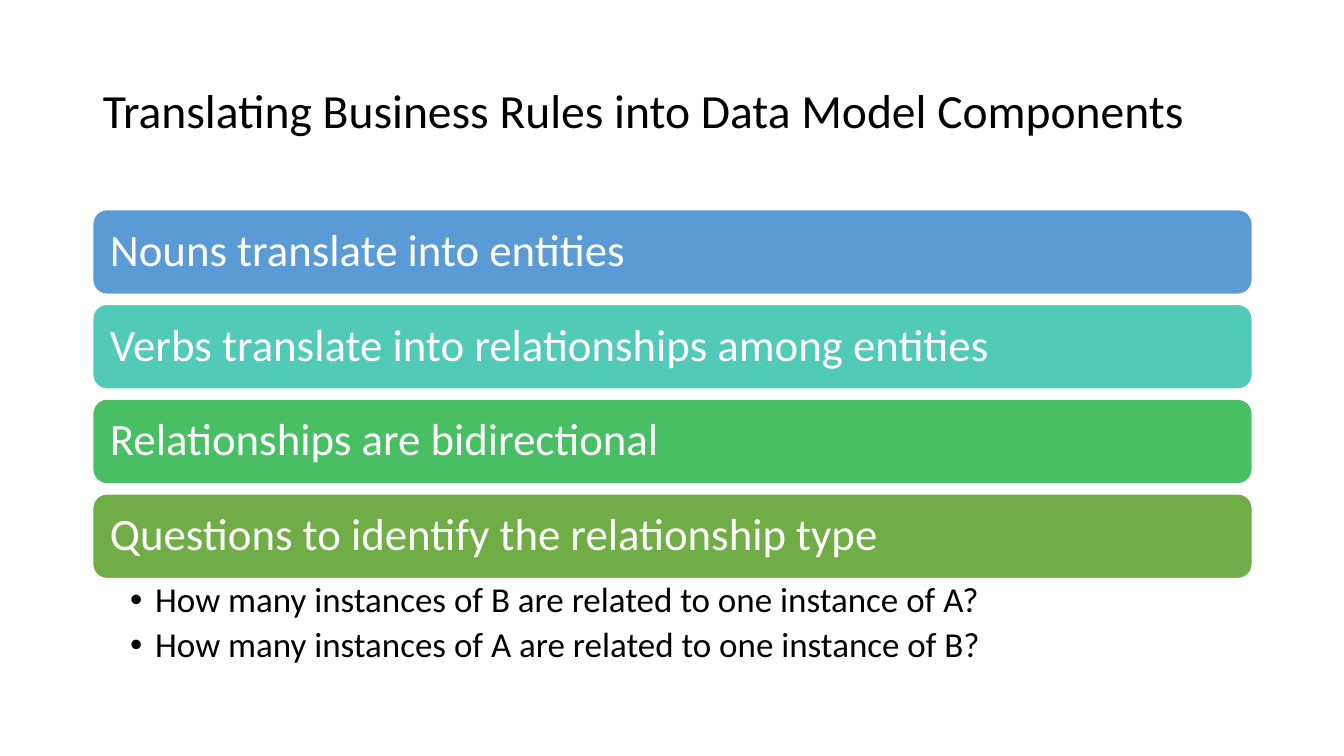
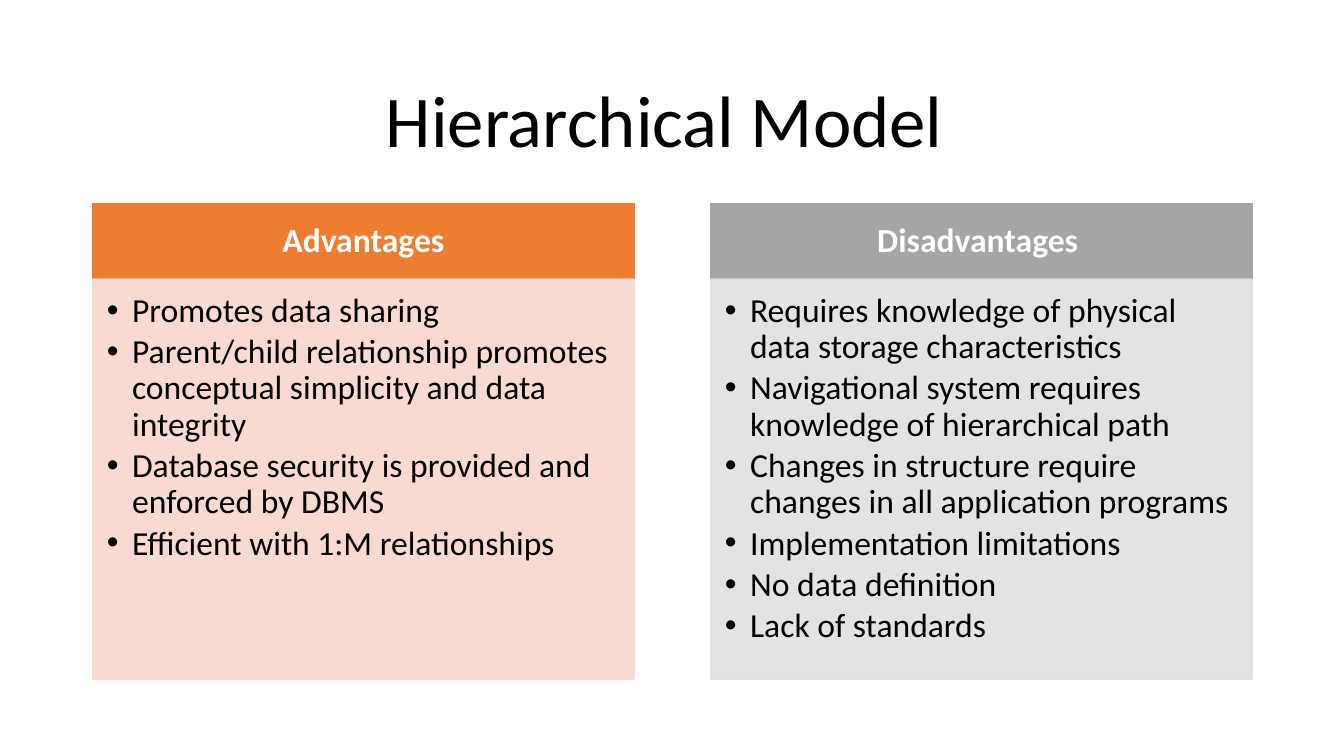
from lxml import etree
from pptx import Presentation
from pptx.dml.color import RGBColor
from pptx.enum.shapes import MSO_SHAPE
from pptx.enum.text import MSO_ANCHOR, MSO_AUTO_SIZE, PP_ALIGN
from pptx.oxml.ns import qn
from pptx.util import Inches, Pt

RECT, ROUND = MSO_SHAPE.RECTANGLE, MSO_SHAPE.ROUNDED_RECTANGLE
TOP, MIDDLE = MSO_ANCHOR.TOP, MSO_ANCHOR.MIDDLE
LEFT, CENTER = PP_ALIGN.LEFT, PP_ALIGN.CENTER

# Shared style
FONT = "Calibri"
BLACK = RGBColor(0x00, 0x00, 0x00)
WHITE = RGBColor(0xFF, 0xFF, 0xFF)
BLUE = RGBColor(0x5B, 0x9B, 0xD5)
TEAL = RGBColor(0x52, 0xCA, 0xB8)
GREEN = RGBColor(0x49, 0xBF, 0x64)
OLIVE = RGBColor(0x70, 0xAD, 0x47)
ORANGE = RGBColor(0xED, 0x7D, 0x31)
GRAY = RGBColor(0xA5, 0xA5, 0xA5)
PEACH = RGBColor(0xF8, 0xD7, 0xCE)
SILVER = RGBColor(0xE1, 0xE1, 0xE1)
WIDE, HIGH = 13.33, 7.5
EDGE, SPAN = 0.92, 11.5
INDENT = 0.25

# Content
RULES = [
    ("Nouns translate into entities", BLUE),
    ("Verbs translate into relationships among entities", TEAL),
    ("Relationships are bidirectional", GREEN),
    ("Questions to identify the relationship type", OLIVE),
]
ASKS = [
    "How many instances of B are related to one instance of A?",
    "How many instances of A are related to one instance of B?",
]
SIDES = [
    ("Advantages", ORANGE, PEACH, [
        "Promotes data sharing",
        "Parent/child relationship promotes conceptual simplicity "
        "and data integrity",
        "Database security is provided and enforced by DBMS",
        "Efficient with 1:M relationships",
    ]),
    ("Disadvantages ", GRAY, SILVER, [
        "Requires knowledge of physical data storage characteristics",
        "Navigational system requires knowledge of hierarchical path",
        "Changes in structure require changes in all application programs",
        "Implementation limitations",
        "No data definition",
        "Lack of standards",
    ]),
]


def place(shape, box):
    shape.left, shape.top, shape.width, shape.height = map(Inches, box)


def bullet(para):
    props = para._p.get_or_add_pPr()
    props.set("marL", str(Inches(INDENT)))
    props.set("indent", str(-Inches(INDENT)))
    etree.SubElement(props, qn("a:buFont")).set("typeface", "Arial")
    etree.SubElement(props, qn("a:buChar")).set("char", "•")


def write(shape, lines, size, color, pads, align=LEFT, anchor=MIDDLE,
          bold=False, after=0, dots=False):
    frame = shape.text_frame
    frame.word_wrap = True
    frame.auto_size = MSO_AUTO_SIZE.NONE
    frame.vertical_anchor = anchor
    (frame.margin_left, frame.margin_top,
     frame.margin_right, frame.margin_bottom) = map(Inches, pads)
    for i, line in enumerate(lines):
        para = frame.add_paragraph() if i else frame.paragraphs[0]
        para.alignment = align
        para.line_spacing = 0.9
        para.space_before = Pt(0)
        para.space_after = Pt(after)
        if dots:
            bullet(para)
        run = para.add_run()
        run.text = line
        font = run.font
        font.name, font.size, font.bold = FONT, Pt(size), bold
        font.color.rgb = color


def block(slide, kind, box, fill, line, alpha=None):
    shape = slide.shapes.add_shape(kind, *map(Inches, box))
    shape.shadow.inherit = False
    shape.fill.solid()
    shape.fill.fore_color.rgb = fill
    shape.line.color.rgb = line
    shape.line.width = Pt(1)
    if alpha:
        for tone in shape._element.spPr.iter(qn("a:srgbClr")):
            etree.SubElement(tone, qn("a:alpha")).set("val", str(alpha * 1000))
    return shape


def start(deck, title, top, size, align):
    slide = deck.slides.add_slide(deck.slide_layouts[5])
    head = slide.shapes.title
    place(head, (EDGE, top, SPAN, 1.85 - top))
    write(head, [title], size, BLACK, (0.1, 0.05, 0.1, 0.05), align)
    return slide


def rules(deck):
    slide = start(deck, "Translating Business Rules into Data Model Components",
                  0.4, 34, LEFT)
    top, tall, step = 2.08, 0.84, 0.94
    # Stacked bars
    for i, (text, fill) in enumerate(RULES):
        bar = block(slide, ROUND, (EDGE, top + i * step, SPAN, tall),
                    fill, WHITE)
        write(bar, [text], 32, WHITE, (0.13,) * 4)
    # Questions below the last bar
    low = top + (len(RULES) - 1) * step + tall
    note = slide.shapes.add_textbox(*map(Inches, (EDGE, low, SPAN, step)))
    write(note, ASKS, 25, BLACK, (0.37, 0.04, 0.25, 0.04),
          anchor=TOP, after=5, dots=True)


def model(deck):
    slide = start(deck, "Hierarchical Model ", 0.61, 52, CENTER)
    top, tall, deep, wide = 2.02, 0.75, 3.97, 5.37
    step = SPAN - wide
    # Two columns: header over list
    for i, (name, dark, pale, points) in enumerate(SIDES):
        left = EDGE + i * step
        head = block(slide, RECT, (left, top, wide, tall), dark, dark)
        write(head, [name], 24, WHITE, (0.19, 0.11, 0.19, 0.11), CENTER,
              bold=True)
        body = block(slide, RECT, (left, top + tall, wide, deep),
                     pale, pale, 90)
        write(body, points, 24, BLACK, (0.14, 0.14, 0.19, 0.21),
              anchor=TOP, after=3.6, dots=True)


def main():
    deck = Presentation()
    deck.slide_width, deck.slide_height = Inches(WIDE), Inches(HIGH)
    rules(deck)
    model(deck)
    deck.save("out.pptx")


if __name__ == "__main__":
    main()
